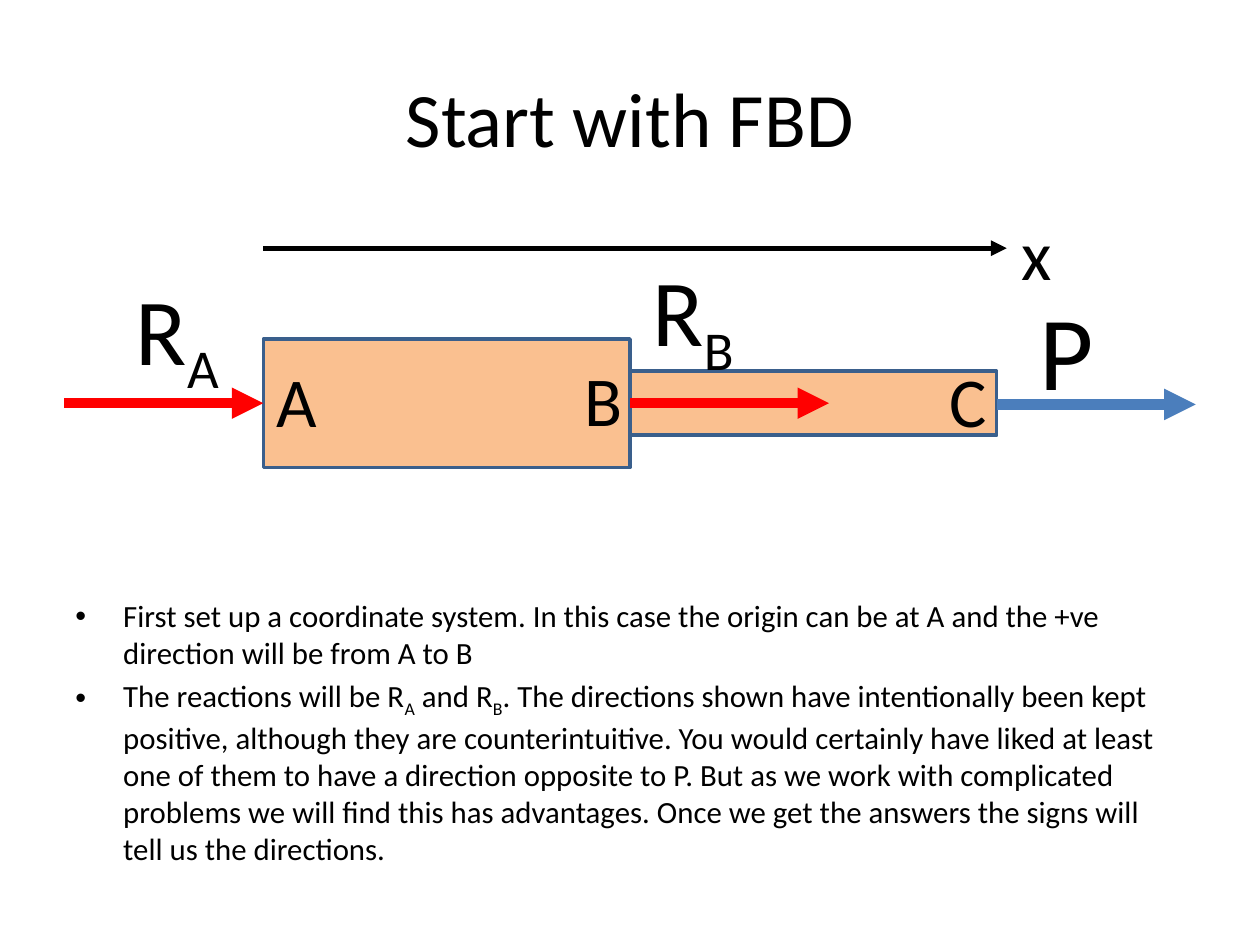
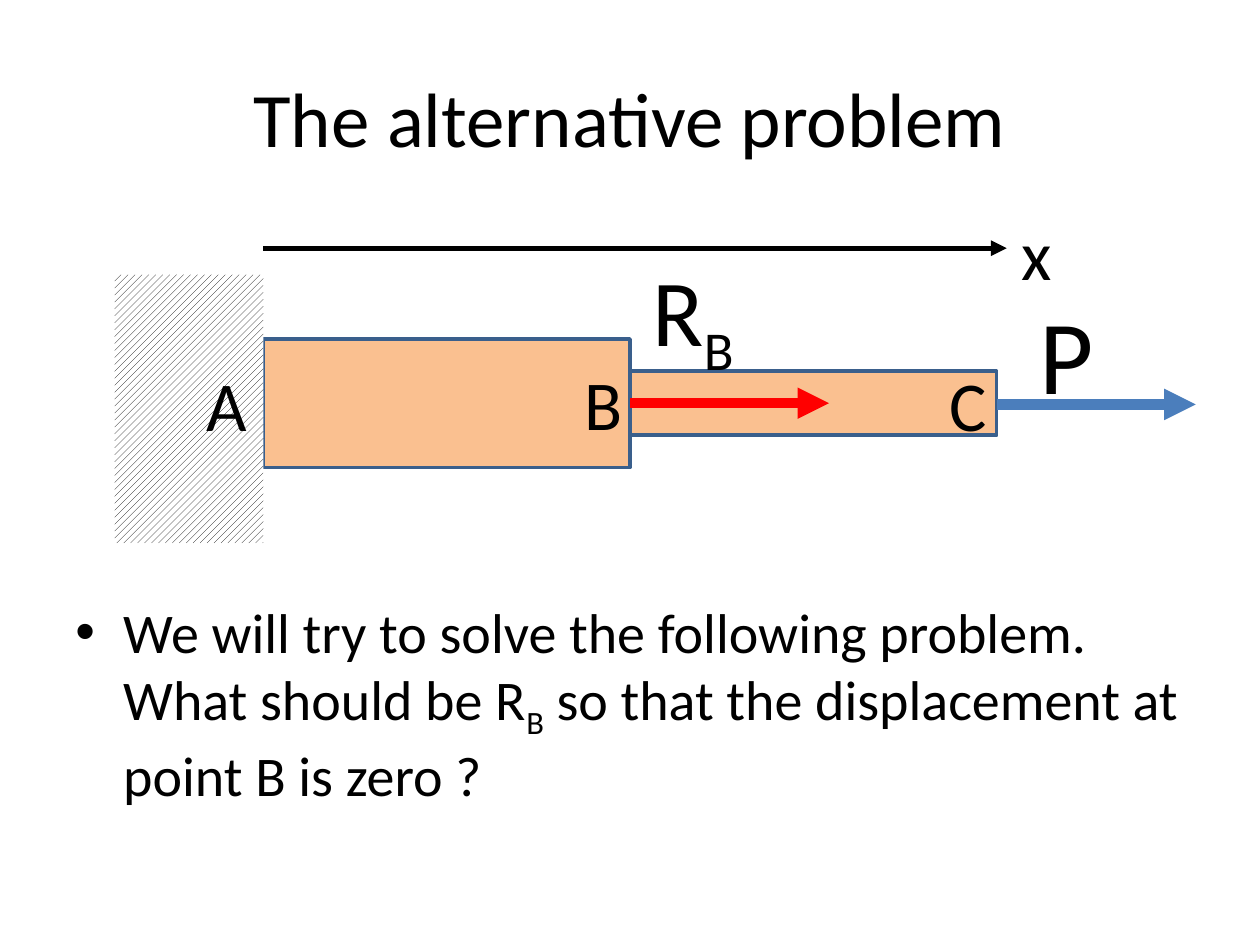
import pptx
import pptx.util
import pptx.dml.color
import pptx.enum.dml
import pptx.enum.shapes
import pptx.enum.text
import pptx.oxml
import pptx.oxml.ns
from dataclasses import dataclass

Inches = pptx.util.Inches
Pt = pptx.util.Pt
Align = pptx.enum.text.PP_ALIGN
Anchor = pptx.enum.text.MSO_ANCHOR


@dataclass(frozen=True)
class Theme:
    font: str = "Calibri"
    ink: str = "000000"
    paper: str = "FFFFFF"
    rod: str = "FAC090"
    edge: str = "3A5F8C"
    force: str = "FF0000"
    load: str = "4B7EBC"
    title: float = 44
    point: float = 40
    react: float = 54
    pull: float = 60


look = Theme()


def rgb(code):
    return pptx.dml.color.RGBColor.from_string(code)


def child(node, tag, **attrs):
    part = pptx.oxml.parse_xml(f"<{tag} {pptx.oxml.ns.nsdecls('a')}/>")
    for key, value in attrs.items():
        part.set(key, value)
    node.append(part)
    return part


def write(para, text, size):
    for i, piece in enumerate(text.split("|")):
        run = para.add_run()
        run.text = piece
        run.font.name = look.font
        run.font.size = Pt(size)
        run.font.color.rgb = rgb(look.ink)
        if i % 2:
            run.font._element.set("baseline", "-25000")


def frame(slide, x, y, w, h):
    box = slide.shapes.add_textbox(Inches(x), Inches(y), Inches(w), Inches(h))
    box.text_frame.word_wrap = True
    return box.text_frame


def label(slide, text, x, y, w, h, size):
    write(frame(slide, x, y, w, h).paragraphs[0], text, size)


def title(slide, text, x, y, w, h):
    area = frame(slide, x, y, w, h)
    area.vertical_anchor = Anchor.MIDDLE
    area.paragraphs[0].alignment = Align.CENTER
    write(area.paragraphs[0], text, look.title)


def body(slide, items, size, x, y, w, h):
    area = frame(slide, x, y, w, h)
    for i, item in enumerate(items):
        para = area.add_paragraph() if i else area.paragraphs[0]
        para.space_before = Pt(size * 0.2)
        props = para._p.get_or_add_pPr()
        props.set("marL", str(Inches(0.38)))
        props.set("indent", str(-Inches(0.38)))
        child(props, "a:buFont", typeface="Arial")
        child(props, "a:buChar", char="•")
        write(para, item, size)


def block(slide, x, y, w, h):
    shape = slide.shapes.add_shape(
        pptx.enum.shapes.MSO_SHAPE.RECTANGLE,
        Inches(x), Inches(y), Inches(w), Inches(h))
    shape.shadow.inherit = False
    return shape


def rod(slide, x, axis, w, h):
    shape = block(slide, x, axis - h / 2, w, h)
    shape.fill.solid()
    shape.fill.fore_color.rgb = rgb(look.rod)
    shape.line.color.rgb = rgb(look.edge)
    shape.line.width = Pt(2)


def wall(slide, x, y, w, h):
    shape = block(slide, x, y, w, h)
    shape.fill.patterned()
    shape.fill.pattern = pptx.enum.dml.MSO_PATTERN.WIDE_UPWARD_DIAGONAL
    shape.fill.fore_color.rgb = rgb(look.ink)
    shape.fill.back_color.rgb = rgb(look.paper)
    shape.line.fill.background()


def arrow(slide, x, y, w, color, width):
    line = slide.shapes.add_connector(
        pptx.enum.shapes.MSO_CONNECTOR.STRAIGHT,
        Inches(x), Inches(y), Inches(x + w), Inches(y))
    line.line.color.rgb = rgb(color)
    line.line.width = Pt(width)
    child(line.line._get_or_add_ln(), "a:tailEnd", type="triangle")
    child(line._element.spPr, "a:effectLst")


def bar(slide, x, axis, span, fixed):
    mid, end = x + span, x + 2 * span
    reach = 1.58
    drop = 0.03 if fixed else 0
    rod(slide, x, axis, span, 1.02)
    rod(slide, mid, axis, span, 0.51)
    if fixed:
        wall(slide, x - 1.18, axis - 1.02, 1.18, 2.13)
    else:
        arrow(slide, x - reach, axis, reach, look.force, 6)
        label(slide, "R|A", x - 1.11, axis - 1.1, 1.09, 1.01, look.react)
    arrow(slide, x, axis - 1.23, 5.9, look.ink, 3)
    arrow(slide, mid, axis, reach, look.force, 6)
    arrow(slide, end, axis + 0.01, reach, look.load, 6)
    label(slide, "R|B", mid + 0.08, axis - 1.25, 1.09, 1.01, look.react)
    label(slide, "P", end + 0.24, axis - 0.98 + drop, 0.79, 1.11, look.pull)
    start = x - 0.55 if fixed else x + 0.01
    for text, left, top in (
            ("x", end + 0.1, axis - 1.58),
            ("A", start, axis - 0.41 + drop),
            ("B", mid - 0.46, axis - 0.42 + drop),
            ("C", end - 0.47, axis - 0.41 + drop)):
        label(slide, text, left, top, 0.54, 0.77, look.point)


def page(deck, head, items, size, fixed):
    slide = deck.slides.add_slide(deck.slide_layouts[6])
    title(slide, head, 0.5, 0.3, 9, 1.25)
    bar(slide, 2.09, 3.2, 2.91, fixed)
    body(slide, items, size, 0.5, 4.69, 9, 2)


deck = pptx.Presentation()
deck.slide_width = Inches(10)
deck.slide_height = Inches(7.5)
page(deck, "Start with FBD", [
    "First set up a coordinate system. In this case the origin can be at A "
    "and the +ve direction will be from A to B",
    "The reactions will be R|A| and R|B|. The directions shown have "
    "intentionally been kept positive, although they are counterintuitive. "
    "You would certainly have liked at least one of them to have a direction "
    "opposite to P. But as we work with complicated problems we will find "
    "this has advantages. Once we get the answers the signs will tell us "
    "the directions. ",
], 17.6, False)
page(deck, "The alternative problem", [
    "We will try to solve the following problem. What should be R|B| so that "
    "the displacement at point B is zero ?",
], 32, True)
deck.save("out.pptx")
